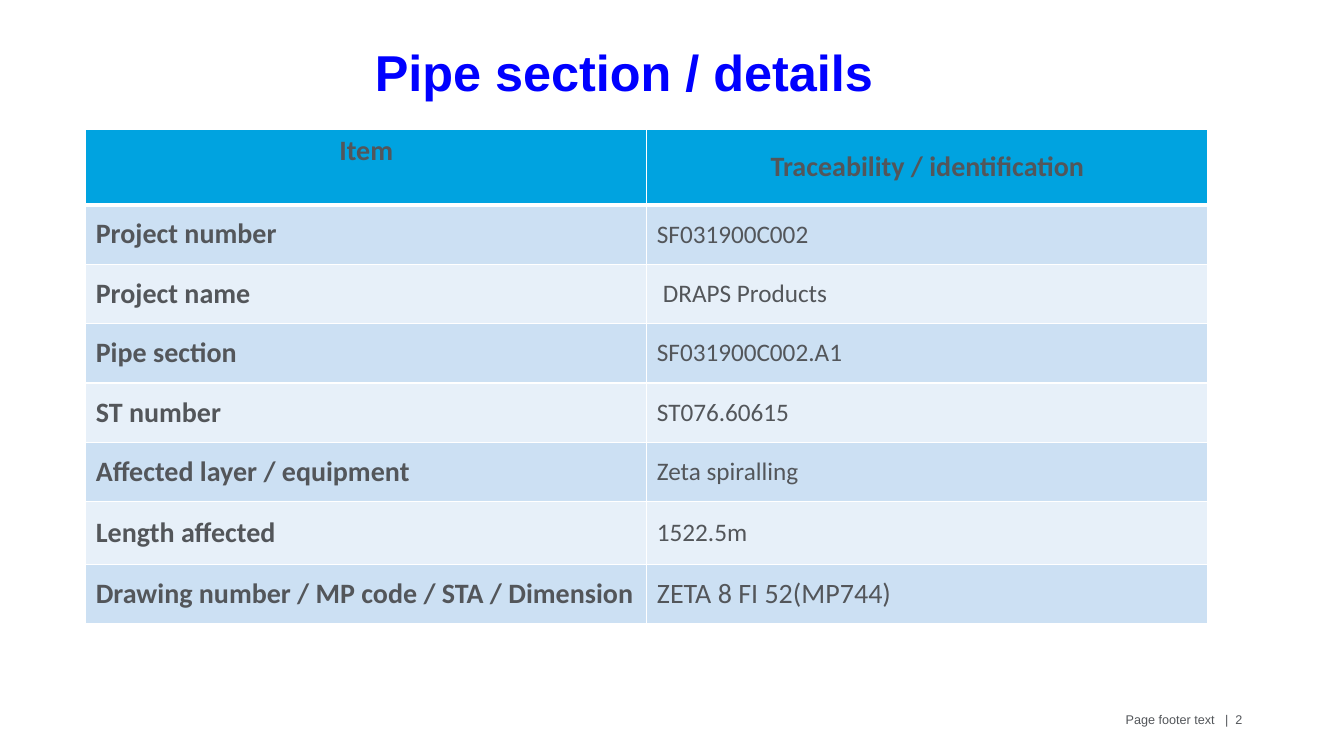
from dataclasses import dataclass

from lxml.etree import SubElement
from pptx import Presentation
from pptx.dml.color import RGBColor
from pptx.enum.text import MSO_ANCHOR, PP_ALIGN
from pptx.oxml.ns import qn
from pptx.util import Emu, Inches, Pt

SLIDE_WIDTH, SLIDE_HEIGHT = Inches(13.33), Inches(7.5)
GREY, BLUE, WHITE = "53565A", "0000FF", "FFFFFF"
HEADER_FILL, BAND_FILLS = "00A3E0", ("CCE0F3", "E7F0F9")
ROW_INCHES = (0.75, 0.59, 0.59, 0.59, 0.59, 0.59, 0.62, 0.59)


@dataclass(frozen=True)
class Area:
    left: float
    top: float
    width: float
    height: float

    def lengths(self) -> tuple[Emu, Emu, Emu, Emu]:
        return (Emu(int(self.left * SLIDE_WIDTH)), Emu(int(self.top * SLIDE_HEIGHT)),
                Emu(int(self.width * SLIDE_WIDTH)), Emu(int(self.height * SLIDE_HEIGHT)))


@dataclass(frozen=True)
class Style:
    font: str
    size: float
    bold: bool = False
    colour: str = GREY
    align: PP_ALIGN = PP_ALIGN.LEFT


@dataclass(frozen=True)
class Detail:
    item: str
    value: str
    value_size: float = 18
    value_inset: float = 0.1


TITLE_AREA = Area(0.2116, 0.064, 0.5056, 0.06)
TABLE_AREA = Area(0.0638, 0.1707, 0.835, 0.6547)
FOOTER_AREA = Area(0.6842, 0.9347, 0.2476, 0.0533)

TITLE = Style("Arial", 36, True, BLUE, PP_ALIGN.CENTER)
FOOTER = Style("Arial", 9, align=PP_ALIGN.RIGHT)
HEADING = Style("Calibri", 20, True, align=PP_ALIGN.CENTER)
ITEM = Style("Calibri", 20, True)

DETAILS = (
    Detail("Project number", "SF031900C002"),
    Detail("Project name", "DRAPS Products", value_inset=0.16),
    Detail("Pipe section", "SF031900C002.A1"),
    Detail("ST number", "ST076.60615"),
    Detail("Affected layer / equipment", "Zeta spiralling"),
    Detail("Length affected", "1522.5m"),
    Detail("Drawing number / MP code / STA / Dimension", "ZETA 8 FI 52(MP744)", 20),
)


def colour(value: str) -> RGBColor:
    return RGBColor.from_string(value)


def style_paragraph(para, style: Style) -> None:
    para.alignment = style.align
    para.font.name = style.font
    para.font.size = Pt(style.size)
    para.font.bold = style.bold
    para.font.color.rgb = colour(style.colour)


def add_text(page, area: Area, spans: tuple[tuple[str, float], ...], style: Style,
             anchor: MSO_ANCHOR) -> None:
    frame = page.shapes.add_textbox(*area.lengths()).text_frame
    frame.word_wrap = True
    frame.vertical_anchor = anchor
    para = frame.paragraphs[0]
    for text, spacing in spans:
        span = para.add_run()
        span.text = text
        if spacing:
            span._r.get_or_add_rPr().set("spc", str(int(spacing * 100)))
    style_paragraph(para, style)


def set_borders(cell, top: float, bottom: float) -> None:
    properties = cell._tc.get_or_add_tcPr()
    for side, points in (("L", 1), ("R", 1), ("T", top), ("B", bottom)):
        line = SubElement(properties, qn(f"a:ln{side}"), w=str(Pt(points)))
        SubElement(SubElement(line, qn("a:solidFill")), qn("a:srgbClr"), val=WHITE)


def fill_cell(cell, text: str, style: Style, row: int, inset: float = 0.1) -> None:
    set_borders(cell, 3 if row == 1 else 1, 3 if row == 0 else 1)
    cell.fill.solid()
    cell.fill.fore_color.rgb = colour(BAND_FILLS[(row - 1) % 2] if row else HEADER_FILL)
    cell.vertical_anchor = MSO_ANCHOR.MIDDLE
    cell.margin_left = Inches(inset)
    para = cell.text_frame.paragraphs[0]
    para.add_run().text = text
    style_paragraph(para, style)


def add_details(page) -> None:
    table = page.shapes.add_table(len(DETAILS) + 1, 2, *TABLE_AREA.lengths()).table
    table.horz_banding = False
    for row, height in zip(table.rows, ROW_INCHES):
        row.height = Inches(height)
    for column, heading in enumerate(("Item", "Traceability / identification")):
        fill_cell(table.cell(0, column), heading, HEADING, 0)
    table.cell(0, 0).vertical_anchor = MSO_ANCHOR.TOP
    for row, detail in enumerate(DETAILS, start=1):
        fill_cell(table.cell(row, 0), detail.item, ITEM, row)
        fill_cell(table.cell(row, 1), detail.value, Style("Calibri", detail.value_size),
                  row, detail.value_inset)


def main() -> None:
    deck = Presentation()
    deck.slide_width, deck.slide_height = SLIDE_WIDTH, SLIDE_HEIGHT
    page = deck.slides.add_slide(deck.slide_layouts[6])
    page.background.fill.solid()
    page.background.fill.fore_color.rgb = colour(WHITE)
    add_text(page, FOOTER_AREA, (("Page footer text", 0), (" ", 5), ("|", 0), (" ", 2.5), ("2", 0)),
             FOOTER, MSO_ANCHOR.TOP)
    add_text(page, TITLE_AREA, (("Pipe section / details", 0),), TITLE, MSO_ANCHOR.MIDDLE)
    add_details(page)
    deck.save("out.pptx")


if __name__ == "__main__":
    main()
